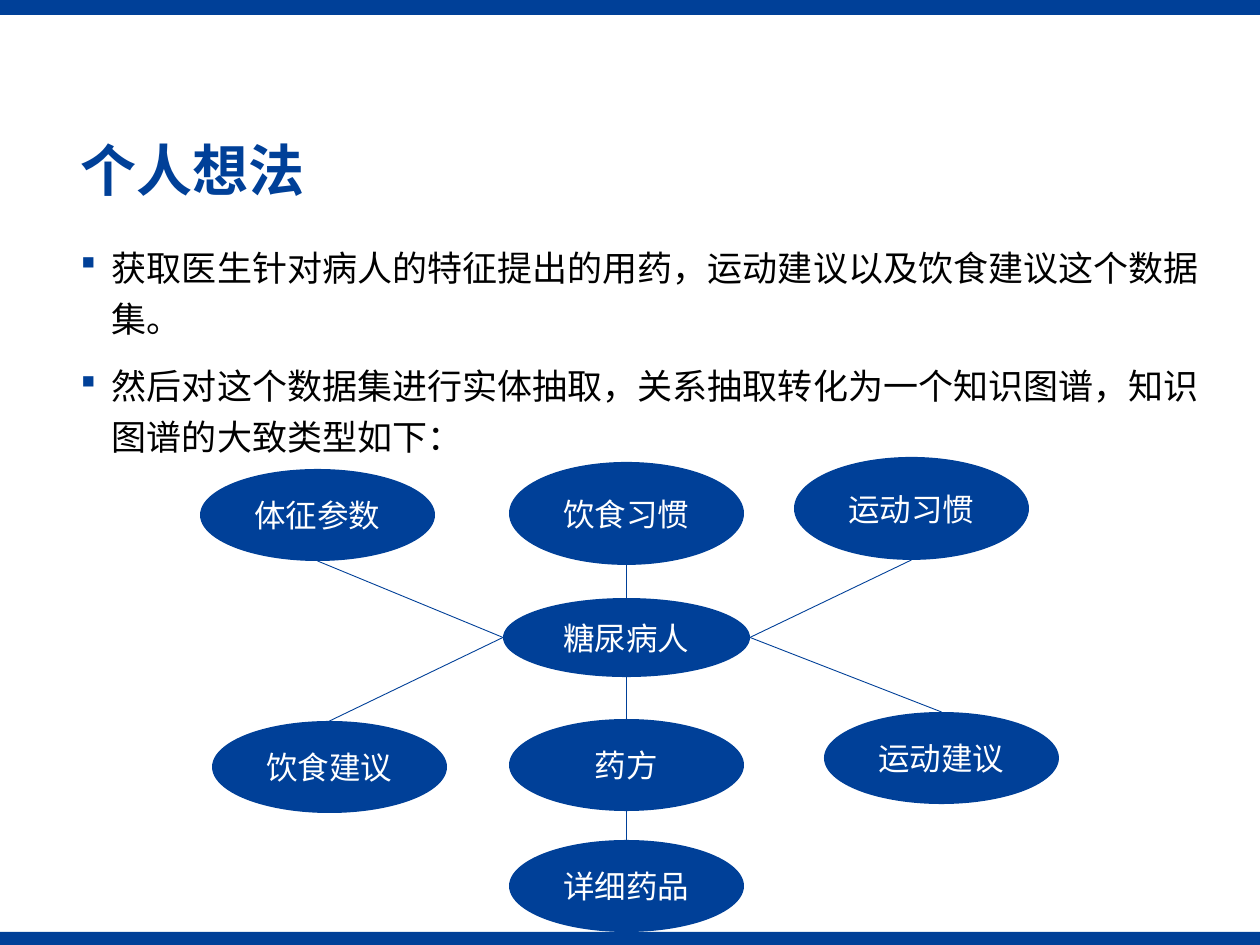
import pptx
import pptx.util
import pptx.dml.color
import pptx.enum.shapes
import pptx.enum.text
import pptx.oxml.ns
import lxml.etree

BLUE = pptx.dml.color.RGBColor(0x00, 0x40, 0x98)
WHITE = pptx.dml.color.RGBColor(0xFF, 0xFF, 0xFF)
BLACK = pptx.dml.color.RGBColor(0x00, 0x00, 0x00)
FONT = "Noto Sans CJK SC"
PX = 914400 // 126
SLIDE_WIDTH, SLIDE_HEIGHT = 1260, 945

POINTS = [
    "获取医生针对病人的特征提出的用药，运动建议以及饮食建议这个数据集。",
    "然后对这个数据集进行实体抽取，关系抽取转化为一个知识图谱，知识图谱的大致类型如下：",
]
PATIENT = "糖尿病人"
NODES = {
    PATIENT: (303, 141, 247, 79),
    "体征参数": (0, 12, 235, 92),
    "饮食习惯": (309, 5, 235, 103),
    "运动习惯": (594, 0, 235, 103),
    "药方": (309, 262, 235, 92),
    "饮食建议": (12, 264, 235, 92),
    "运动建议": (624, 255, 235, 92),
    "详细药品": (309, 383, 235, 92),
}
RELATIONS = [
    (PATIENT, "left", "体征参数", "bottom"),
    (PATIENT, "top", "饮食习惯", "bottom"),
    (PATIENT, "right", "运动习惯", "bottom"),
    (PATIENT, "left", "饮食建议", "top"),
    (PATIENT, "bottom", "药方", "top"),
    (PATIENT, "right", "运动建议", "top"),
    ("药方", "bottom", "详细药品", "top"),
]
SIDES = {"left": (0, 0.5), "right": (1, 0.5), "top": (0.5, 0), "bottom": (0.5, 1)}


def emu(*lengths):
    return [round(length * PX) for length in lengths]


def add_run(paragraph, text, size, color, bold=False):
    run = paragraph.add_run()
    run.text = text
    run.font.size = pptx.util.Pt(size)
    run.font.bold = bold
    run.font.name = FONT
    run.font.color.rgb = color
    east_asian = lxml.etree.SubElement(run.font._element, pptx.oxml.ns.qn("a:ea"))
    east_asian.set("typeface", FONT)


def add_filled(slide, kind, box):
    shape = slide.shapes.add_shape(kind, *emu(*box))
    shape.shadow.inherit = False
    shape.fill.solid()
    shape.fill.fore_color.rgb = BLUE
    shape.line.fill.background()
    return shape


def add_bands(slide, width, height):
    for band in [(0, 0, width, 15), (0, height - 13, width, 13)]:
        add_filled(slide, pptx.enum.shapes.MSO_SHAPE.RECTANGLE, band)


def add_title(slide, box):
    title = slide.shapes.add_textbox(*emu(*box)).text_frame
    title.word_wrap = True
    title.vertical_anchor = pptx.enum.text.MSO_ANCHOR.MIDDLE
    title.paragraphs[0].line_spacing = 0.9
    add_run(title.paragraphs[0], "个人想法", 32, BLUE, bold=True)


def add_bullet(paragraph):
    properties = paragraph._p.get_or_add_pPr()
    indent = pptx.util.Inches(0.25)
    properties.set("marL", str(indent))
    properties.set("indent", str(-indent))
    color = lxml.etree.SubElement(properties, pptx.oxml.ns.qn("a:buClr"))
    lxml.etree.SubElement(color, pptx.oxml.ns.qn("a:srgbClr")).set("val", str(BLUE))
    bullet_font = lxml.etree.SubElement(properties, pptx.oxml.ns.qn("a:buFont"))
    bullet_font.set("typeface", "Wingdings")
    bullet_font.set("charset", "2")
    lxml.etree.SubElement(properties, pptx.oxml.ns.qn("a:buChar")).set("char", "§")


def add_points(slide, box):
    body = slide.shapes.add_textbox(*emu(*box)).text_frame
    body.word_wrap = True
    for index, point in enumerate(POINTS):
        paragraph = body.add_paragraph() if index else body.paragraphs[0]
        paragraph.line_spacing = 1.2
        paragraph.space_before = pptx.util.Pt(10)
        add_bullet(paragraph)
        add_run(paragraph, point, 20, BLACK)


def side_point(node, side, left, top):
    x, y, width, height = NODES[node]
    across, down = SIDES[side]
    return emu(left + x + across * width, top + y + down * height)


def add_graph(slide, left, top):
    for start, start_side, end, end_side in RELATIONS:
        relation = slide.shapes.add_connector(
            pptx.enum.shapes.MSO_CONNECTOR.STRAIGHT,
            *side_point(start, start_side, left, top),
            *side_point(end, end_side, left, top))
        relation.line.color.rgb = BLUE
        relation.line.width = pptx.util.Pt(0.5)
        lxml.etree.SubElement(relation._element.spPr, pptx.oxml.ns.qn("a:effectLst"))
    for label, (x, y, width, height) in NODES.items():
        node = add_filled(slide, pptx.enum.shapes.MSO_SHAPE.OVAL,
                          (left + x, top + y, width, height))
        node.text_frame.vertical_anchor = pptx.enum.text.MSO_ANCHOR.MIDDLE
        paragraph = node.text_frame.paragraphs[0]
        paragraph.alignment = pptx.enum.text.PP_ALIGN.CENTER
        add_run(paragraph, label, 18, WHITE)


def main():
    deck = pptx.Presentation()
    deck.slide_width, deck.slide_height = emu(SLIDE_WIDTH, SLIDE_HEIGHT)
    slide = deck.slides.add_slide(deck.slide_layouts[6])
    add_bands(slide, SLIDE_WIDTH, SLIDE_HEIGHT)
    add_points(slide, (68, 232, 1154, 678))
    add_title(slide, (68, 134, 1154, 79))
    add_graph(slide, 200, 457)
    deck.save("out.pptx")


if __name__ == "__main__":
    main()
